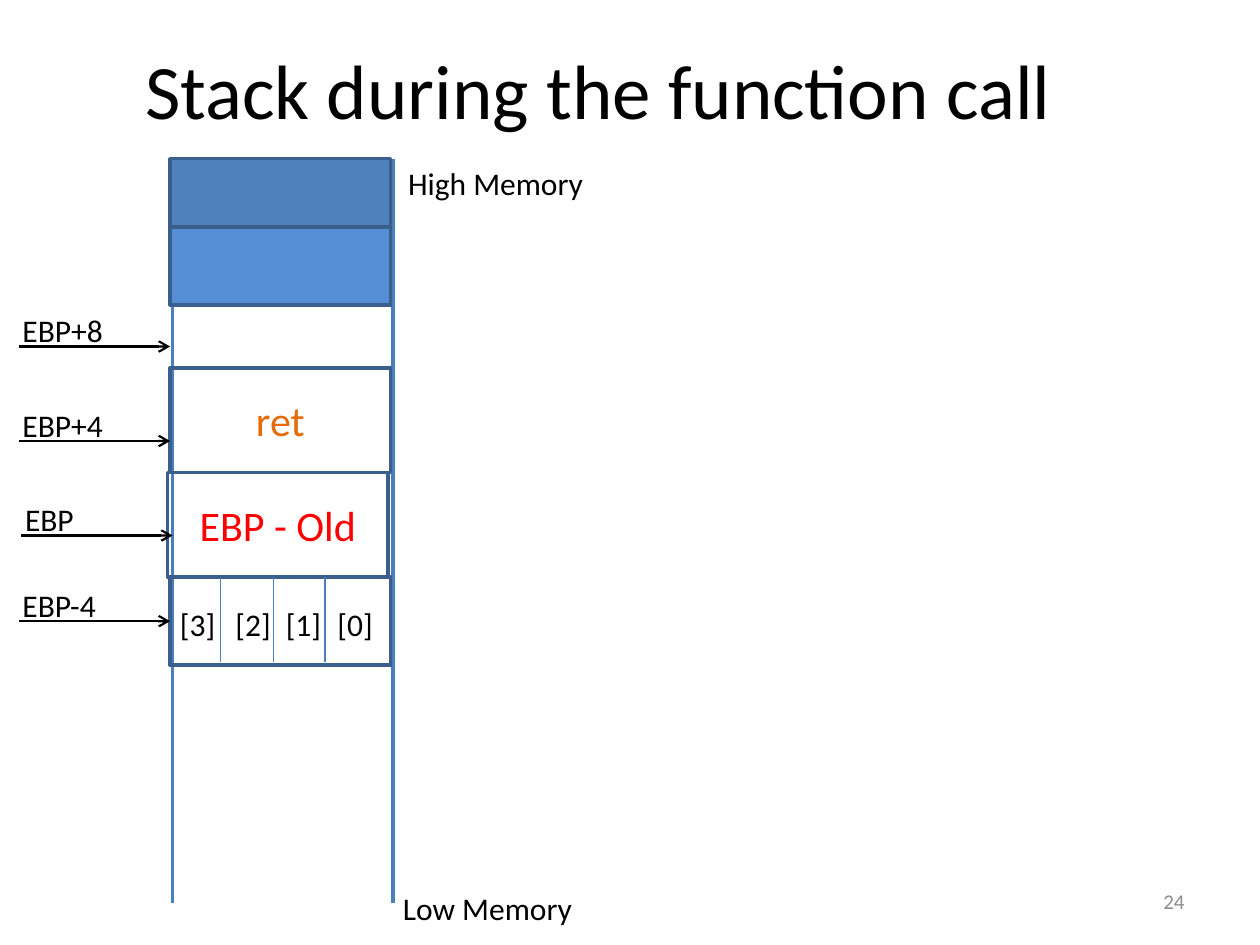
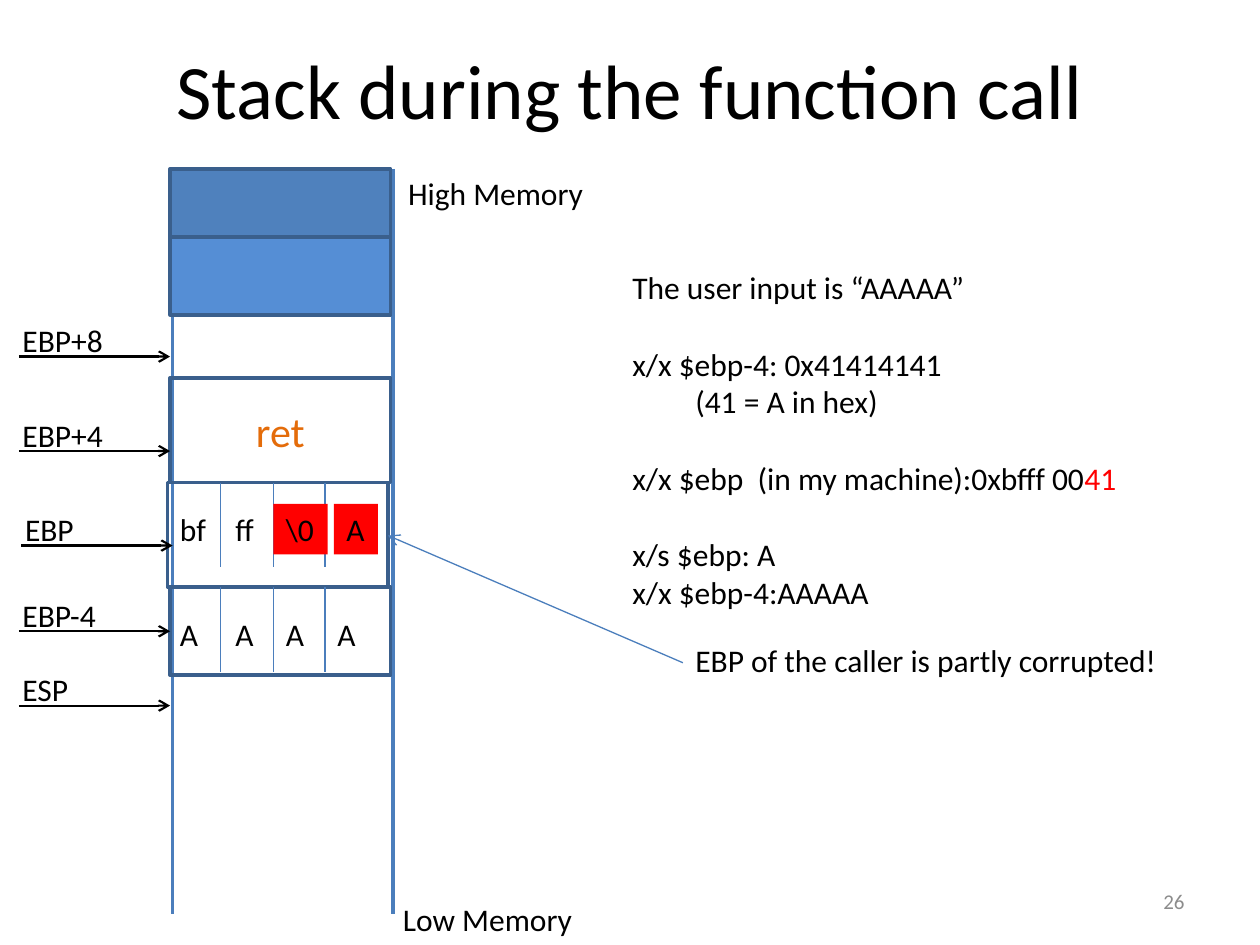
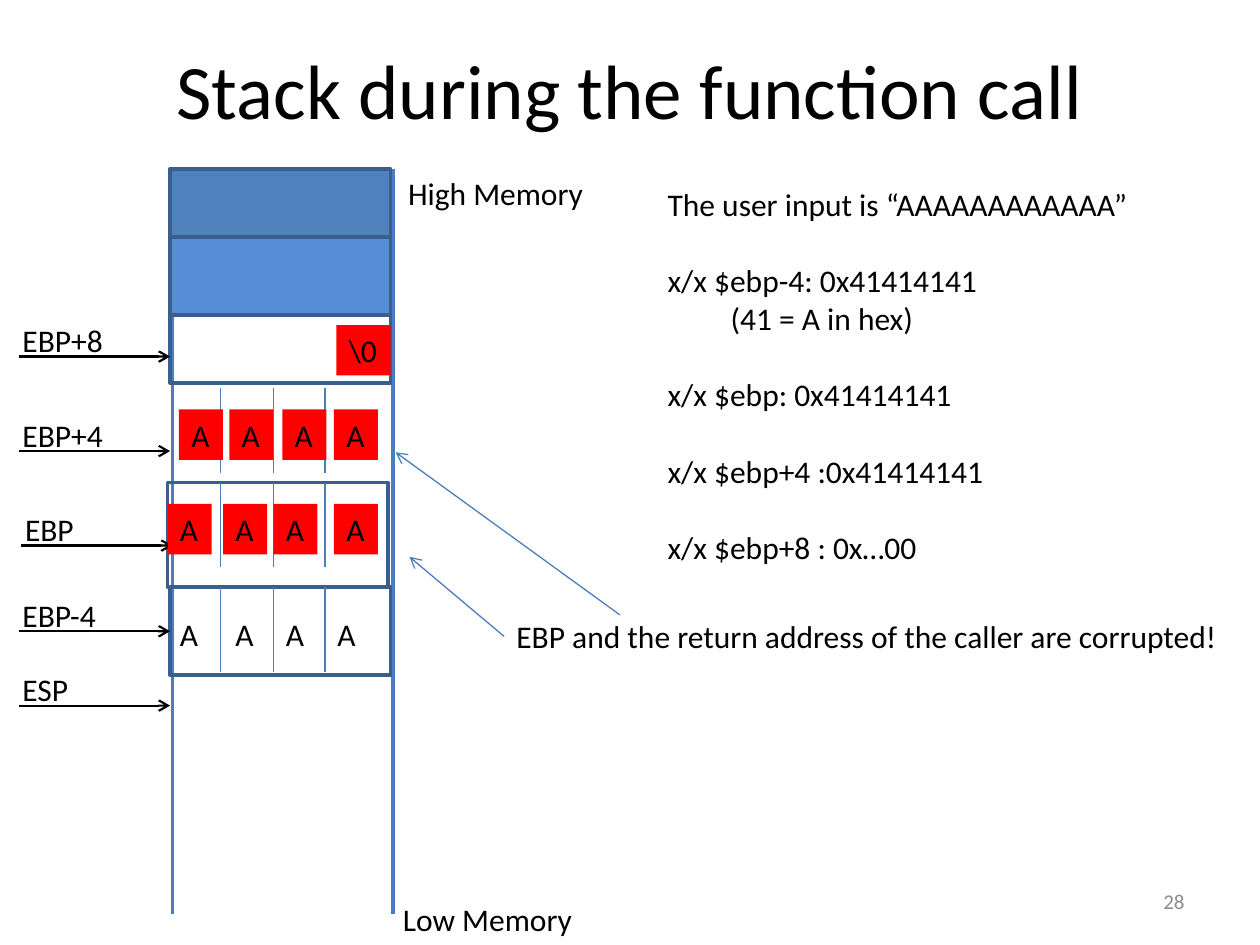
"""Build three slides that show the stack during a function call."""
import pptx
import pptx.util
import pptx.dml.color
import pptx.enum.shapes
import pptx.enum.text
import pptx.oxml
import pptx.oxml.ns

Inches = pptx.util.Inches
Pt = pptx.util.Pt
tint = pptx.dml.color.RGBColor.from_string
ALIGN = pptx.enum.text.PP_ALIGN
ANCHOR = pptx.enum.text.MSO_ANCHOR
FONT, BLACK, RED, ORANGE, GREY = "Calibri", "000000", "FF0000", "E46C0A", "8C8C8C"
BLUE, EDGE, DARK, LIGHT = "4B7EBC", "3A5F8C", "4F81BD", "558ED5"
LEFT, WIDE = 1.35, 1.75
SLOTS = (1.33, 1.77, 2.17, 2.58)
SPLITS = (1.75, 2.17, 2.58)
TITLE = "Stack during the function call"


def box(slide, at, text="", size=18, color=BLACK, fill=None, edge=None, align=ALIGN.LEFT):
    place = [Inches(n) for n in at]
    if fill or edge:
        shape = slide.shapes.add_shape(pptx.enum.shapes.MSO_SHAPE.RECTANGLE, *place)
        shape.shadow.inherit = False
    else:
        shape = slide.shapes.add_textbox(*place)
    if fill:
        shape.fill.solid()
        shape.fill.fore_color.rgb = tint(fill)
    else:
        shape.fill.background()
    if edge:
        shape.line.color.rgb = tint(edge)
        shape.line.width = Pt(2)
    else:
        shape.line.fill.background()
    frame = shape.text_frame
    frame.text = text
    frame.word_wrap = align != ALIGN.LEFT
    frame.vertical_anchor = ANCHOR.TOP if align == ALIGN.LEFT else ANCHOR.MIDDLE
    for para in frame.paragraphs:
        para.alignment = align
        for run in para.runs:
            run.font.name = FONT
            run.font.size = Pt(size)
            run.font.color.rgb = tint(color)
    return shape


def line(slide, start, end, color=BLUE, width=0.75, arrow=False):
    ends = [Inches(n) for n in (*start, *end)]
    link = slide.shapes.add_connector(pptx.enum.shapes.MSO_CONNECTOR.STRAIGHT, *ends)
    link.line.color.rgb = tint(color)
    link.line.width = Pt(width)
    if arrow:
        tail = pptx.oxml.parse_xml(f'<a:tailEnd {pptx.oxml.ns.nsdecls("a")} type="arrow"/>')
        link.line._get_or_add_ln().append(tail)
    link._element.spPr.append(pptx.oxml.parse_xml(f'<a:effectLst {pptx.oxml.ns.nsdecls("a")}/>'))


deck = pptx.Presentation()
deck.slide_width, deck.slide_height = Inches(10), Inches(7.5)

frames = [
    {
        "page": "24", "title": 0.25, "drop": 0,
        "rooms": [(LEFT, 2.92, 0.83, "ret", ORANGE), (1.33, 3.75, 0.83, "EBP - Old", RED)],
        "splits": [4.58],
        "cells": [(x, 4.75, 0.48, word, None) for x, word in zip(SLOTS, ("[3]", "[2]", "[1]", "[0]"))],
        "notes": None, "remark": None, "arrows": [],
    },
    {
        "page": "26", "title": 0.5, "drop": 0.08,
        "rooms": [(LEFT, 2.92, 0.83, "ret", ORANGE), (1.33, 3.75, 0.83, "", RED)],
        "splits": [4.58, 3.75],
        "cells": [(x, 4.75, 0.35, "A", None) for x in SLOTS] + [
            (2.65, 3.92, 0.35, "A", RED), (2.17, 3.92, 0.43, "\\0", RED),
            (1.77, 3.92, 0.35, "ff", None), (1.33, 3.92, 0.41, "bf", None)],
        "notes": ((4.92, 2.08, 4.1, 2.83), [
            "The user input is “AAAAA”", "x/x $ebp-4: 0x41414141", "\t(41 = A in hex)",
            "x/x $ebp  (in my machine):0xbfff 00", "x/s $ebp: A", "x/x $ebp-4:AAAAA"], (1, 3, 4)),
        "remark": ((5.42, 5.04, 3.9, 0.4), "EBP of the caller is partly corrupted!"),
        "arrows": [((5.42, 5.26), (3.08, 4.25))],
    },
    {
        "page": "28", "title": 0.5, "drop": 0.08,
        "rooms": [(LEFT, 2.42, 0.54, "", RED), (1.33, 3.75, 0.83, "", RED)],
        "splits": [4.58, 3.75, 3],
        "cells": [(x, 4.75, 0.35, "A", None) for x in SLOTS]
        + [(x, 3.92, 0.35, "A", RED) for x in (1.33, 1.77, 2.17, 2.65)]
        + [(x, 3.17, 0.35, "A", RED) for x in (1.42, 1.82, 2.24, 2.65)]
        + [(2.67, 2.5, 0.43, "\\0", RED)],
        "notes": ((5.2, 1.42, 3.88, 3.43), [
            "The user input is “AAAAAAAAAAAA”", "x/x $ebp-4: 0x41414141", "\t(41 = A in hex)",
            "x/x $ebp: 0x41414141", "x/x $ebp+4 :0x41414141", "x/x $ebp+8 : 0x…00"], (1, 3, 4, 5)),
        "remark": ((4, 4.85, 5.83, 0.4), "EBP and the return address of the caller are corrupted!"),
        "arrows": [((4.92, 4.88), (3.14, 3.59)), ((4, 5.05), (3.25, 4.42))],
    },
]

for view in frames:
    slide = deck.slides.add_slide(deck.slide_layouts[5])
    drop = view["drop"]

    title = slide.shapes.title
    title.left, title.top = Inches(view["title"]), Inches(0.08)
    title.width, title.height = Inches(9), Inches(1.25)
    title.text_frame.text = TITLE
    title.text_frame.vertical_anchor = ANCHOR.MIDDLE
    head = title.text_frame.paragraphs[0]
    head.alignment = ALIGN.CENTER
    head.runs[0].font.name = FONT
    head.runs[0].font.size = Pt(44)
    head.runs[0].font.color.rgb = tint(BLACK)

    box(slide, (3.1, 7.01 + drop, 1.56, 0.4), "Low Memory")
    box(slide, (3.14, 1.25 + drop, 1.61, 0.4), "High Memory")
    line(slide, (1.37, 1.29 + drop), (1.37, 7.17 + drop), width=2)
    line(slide, (3.12, 1.26 + drop), (3.12, 7.17 + drop), width=2)
    box(slide, (LEFT, 1.26 + drop, WIDE, 0.54), fill=DARK, edge=EDGE)
    box(slide, (LEFT, 1.8 + drop, WIDE, 0.62), fill=LIGHT, edge=EDGE)
    for x, y, tall, word, color in view["rooms"]:
        box(slide, (x, y + drop, WIDE, tall), word, 24, color, edge=EDGE, align=ALIGN.CENTER)
    box(slide, (LEFT, 4.58 + drop, WIDE, 0.7), edge=EDGE)

    marks = [("EBP+8", 0.15, 2.75, 0.85), ("EBP+4", 0.15, 3.5, 0.85),
             ("EBP", 0.17, 4.25, 0.59), ("EBP-4", 0.15, 4.93, 0.8)]
    if view["notes"]:
        marks.append(("ESP", 0.15, 5.52, 0.57))
    for word, x, y, wide in marks:
        line(slide, (x, y + drop), (x + 1.2, y + drop), BLACK, 1.25, True)
        box(slide, (x - 0.07, y - 0.33 + drop, wide, 0.4), word)

    for y in view["splits"]:
        for x in SPLITS:
            line(slide, (x, y + drop), (x, y + 0.67 + drop))
    for x, y, wide, word, fill in view["cells"]:
        box(slide, (x, y + drop, wide, 0.4), word, fill=fill)

    if view["notes"]:
        place, words, gaps = view["notes"]
        paras = box(slide, place, "\n".join(words)).text_frame.paragraphs
        for gap in gaps:
            paras[gap].space_before = Pt(22)
        if words[3].endswith("00"):
            run = paras[3].add_run()
            run.text = "41"
            run.font.name = FONT
            run.font.size = Pt(18)
            run.font.color.rgb = tint(RED)
        box(slide, *view["remark"])
    for start, end in view["arrows"]:
        line(slide, start, end, arrow=True)

    box(slide, (7.17, 6.95, 2.33, 0.4), view["page"], 12, GREY, align=ALIGN.RIGHT)

deck.save("out.pptx")
